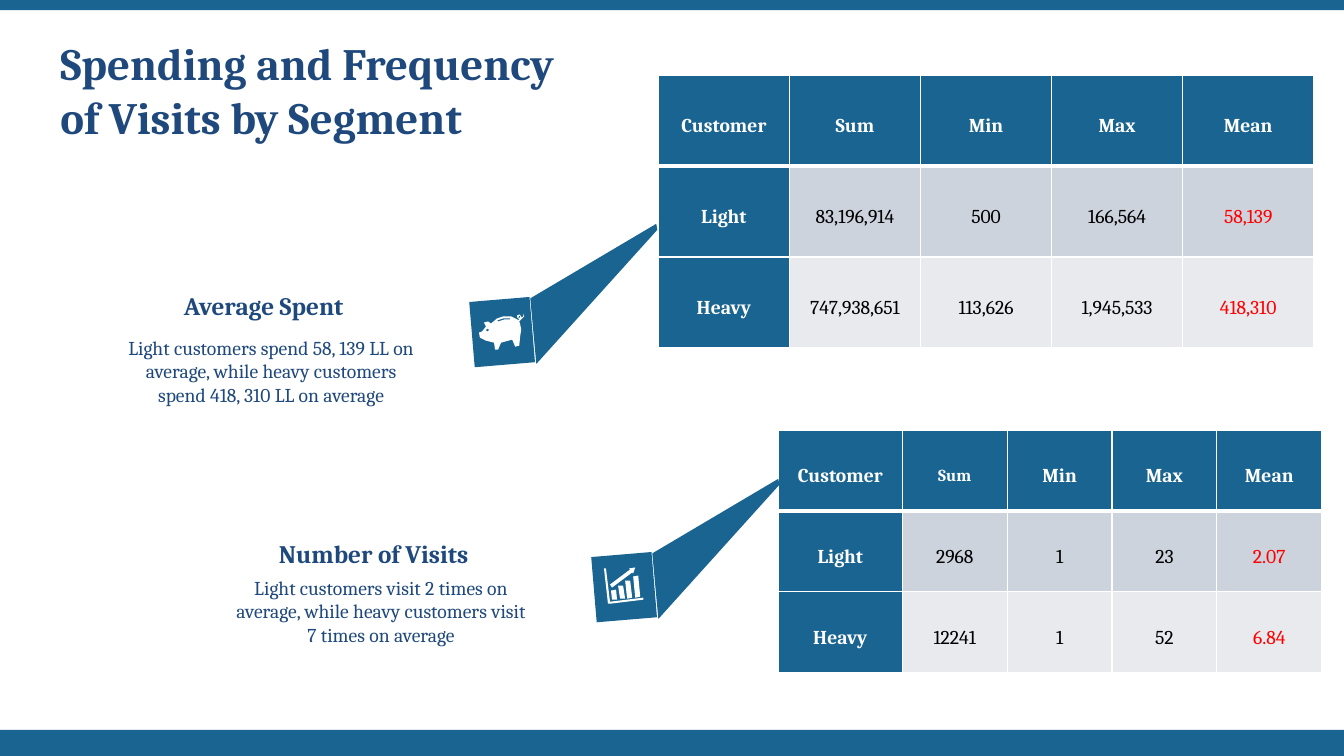
from lxml import etree
from pptx import Presentation
from pptx.dml.color import RGBColor
from pptx.enum.shapes import MSO_SHAPE
from pptx.enum.text import MSO_ANCHOR, PP_ALIGN
from pptx.oxml.ns import qn
from pptx.util import Pt

RECTANGLE = MSO_SHAPE.RECTANGLE
LEFT, CENTER = PP_ALIGN.LEFT, PP_ALIGN.CENTER
TOP, MIDDLE = MSO_ANCHOR.TOP, MSO_ANCHOR.MIDDLE
PX = 9144  # 100 px to the inch
BLUE, NAVY, WHITE, BLACK, RED = "196491", "1F497D", "FFFFFF", "000000", "FF0000"
ROW_FILLS = [BLUE, "CCD3DC", "E8EAEE"]

color = RGBColor.from_string


def paint(shape, fill):
    shape.shadow.inherit = False
    shape.fill.solid()
    shape.fill.fore_color.rgb = color(fill)
    shape.line.fill.background()


def write(frame, text, align, size, ink, bold):
    paragraph = frame.paragraphs[0]
    paragraph.alignment = align
    run = paragraph.add_run()
    run.text = text
    for key, value in {"name": "Cambria", "size": Pt(size), "bold": bold}.items():
        setattr(run.font, key, value)
    run.font.color.rgb = color(ink)
    return paragraph


deck = Presentation()
deck.slide_width, deck.slide_height = 1333 * PX, 750 * PX
slide = deck.slides.add_slide(deck.slide_layouts[6])
shapes = slide.shapes

# Bars along the bottom and top edges
for top, height in [(724, 26), (0, 10)]:
    bar = shapes.add_shape(RECTANGLE, 0, top * PX, deck.slide_width, height * PX)
    paint(bar, BLUE)

# Spending and visit tables: left, top, column widths, row height, side margin, rows
spending = [
    ["Customer", "Sum", "Min", "Max", "Mean"],
    ["Light", "83,196,914", "500", "166,564", "58,139"],
    ["Heavy", "747,938,651", "113,626", "1,945,533", "418,310"],
]
visits = [
    ["Customer", "Sum", "Min", "Max", "Mean"],
    ["Light", "2968", "1", "23", "2.07"],
    ["Heavy", "12241", "1", "52", "6.84"],
]
for left, top, widths, row_height, margin, rows in [
    (653, 75, [130] * 5, 90, 7, spending),
    (772, 427, [123] + [104] * 4, 80, 10, visits),
]:
    table = shapes.add_table(
        len(rows), len(widths), left * PX, top * PX,
        sum(widths) * PX, row_height * len(rows) * PX).table
    for column, width in zip(table.columns, widths):
        column.width = width * PX
    for r, row in enumerate(rows):
        table.rows[r].height = row_height * PX
        for c, value in enumerate(row):
            cell = table.cell(r, c)
            heading = r == 0 or c == 0
            ink = WHITE if heading else RED if c == 4 else BLACK
            size = 12 if rows is visits and (r, c) == (0, 1) else 14
            write(cell.text_frame, value, CENTER, size, ink, heading).line_spacing = 1.5
            for key, setting in {
                "vertical_anchor": MIDDLE, "margin_left": margin * PX,
                "margin_right": margin * PX, "margin_top": 0, "margin_bottom": 0,
            }.items():
                setattr(cell, key, setting)
            # White borders, thicker under the header row
            for edge in ["lnL", "lnR", "lnT", "lnB"]:
                points = 3 if (edge, r) in [("lnB", 0), ("lnT", 1)] else 1
                border = etree.SubElement(
                    cell._tc.get_or_add_tcPr(), qn("a:" + edge), w=str(Pt(points)))
                border_fill = etree.SubElement(border, qn("a:solidFill"))
                etree.SubElement(border_fill, qn("a:srgbClr"), val=WHITE)
            cell.fill.solid()
            cell.fill.fore_color.rgb = color(BLUE if heading else ROW_FILLS[r])

# Icon outlines, each a list of closed contours
piggy_bank = [
    [(499, 314), (507, 314), (513, 317), (514, 318), (515, 317), (513, 315),
     (513, 313), (515, 312), (517, 314), (517, 315), (519, 314), (519, 311),
     (520, 314), (517, 317), (515, 319), (516, 322), (517, 327), (516, 333),
     (515, 343), (511, 344), (508, 337), (497, 340), (494, 347), (491, 347),
     (490, 340), (482, 338), (476, 335), (475, 330), (478, 329), (482, 324),
     (480, 320), (484, 319), (487, 321), (493, 316)],
    [(483, 326), (482, 328), (484, 329), (485, 327)],
    [(515, 313), (514, 315), (515, 316), (516, 314)],
    [(499, 316), (493, 318), (494, 319), (500, 317), (506, 317), (506, 316)],
]
growth_chart = [
    [(606, 586), (611, 585), (612, 595), (607, 595)],
    [(613, 581), (618, 581), (620, 594), (615, 594)],
    [(620, 576), (625, 576), (627, 593), (622, 594)],
    [(628, 572), (633, 571), (635, 592), (630, 593)],
    [(624, 564), (630, 563), (628, 569), (627, 568), (607, 583), (605, 580), (625, 565)],
    [(599, 564), (601, 564), (605, 597), (638, 593), (638, 595), (605, 599), (603, 599)],
]

# Callouts: wedge, tilted tile and icon
for dx, dy, icon in [(0, 0, piggy_bank), (121, 253, growth_chart)]:
    wedge = [(x + dx, y + dy) for x, y in [(652, 228), (532, 361), (526, 296), (651, 222)]]
    tile = shapes.add_shape(
        RECTANGLE, (468 + dx) * PX, (297 + dy) * PX, 60 * PX, 65 * PX)
    tile.rotation = 355.2
    paint(tile, BLUE)
    for contours, fill in [([wedge], BLUE), (icon, WHITE)]:
        outline = shapes.build_freeform(*contours[0][0], scale=PX)
        for contour in contours:
            outline.move_to(*contour[0])
            outline.add_line_segments(contour[1:], close=True)
        paint(outline.convert_to_shape(), fill)

# Title, explanations and their headings
for left, top, width, height, side, anchor, text, align, size, bold in [
    (50, 31, 553, 172, 10, TOP,
     "Spending and Frequency of Visits by Segment", LEFT, 32, True),
    (223, 566, 310, 104, 10, TOP,
     "Light customers visit 2 times on average, while heavy customers visit "
     "7 times on average", CENTER, 14, False),
    (231, 529, 279, 40, 12, MIDDLE, "Number of Visits", CENTER, 18, True),
    (114, 328, 310, 104, 10, TOP,
     "Light customers spend 58, 139 LL on average, while heavy customers spend "
     "418, 310 LL on average", CENTER, 14, False),
    (122, 283, 279, 40, 12, MIDDLE, "Average Spent", CENTER, 18, True),
]:
    frame = shapes.add_textbox(left * PX, top * PX, width * PX, height * PX).text_frame
    for key, setting in {
        "word_wrap": True, "vertical_anchor": anchor, "margin_left": side * PX,
        "margin_right": side * PX, "margin_top": 5 * PX, "margin_bottom": 5 * PX,
    }.items():
        setattr(frame, key, setting)
    write(frame, text, align, size, NAVY, bold)

deck.save("out.pptx")
